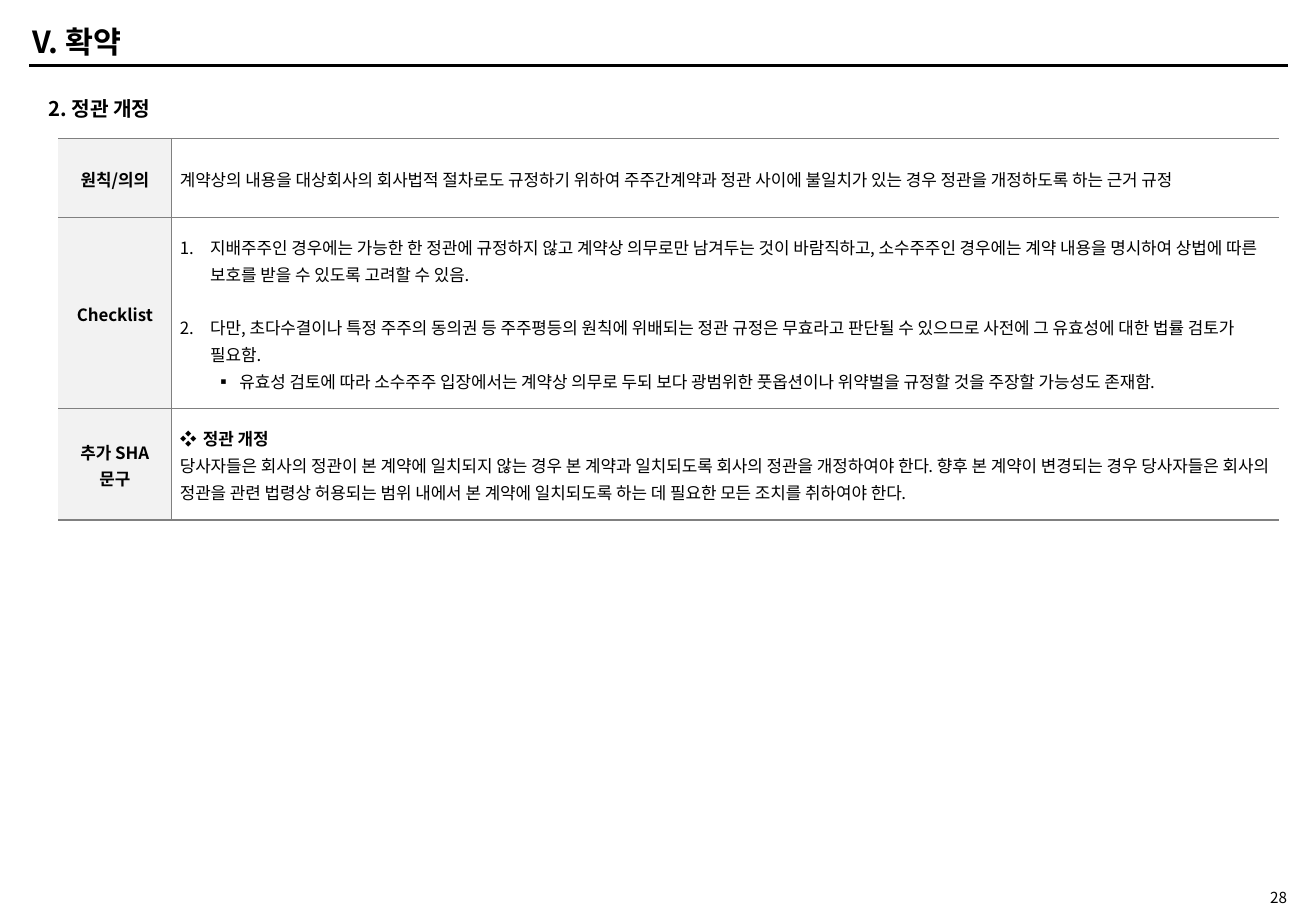
import pptx
import pptx.util
import pptx.dml.color
import pptx.enum.shapes
import pptx.enum.text
import pptx.oxml.ns
from lxml import etree

Inches, Pt = pptx.util.Inches, pptx.util.Pt
RGBColor = pptx.dml.color.RGBColor
ALIGN = pptx.enum.text.PP_ALIGN
MIDDLE = pptx.enum.text.MSO_ANCHOR.MIDDLE
qn = pptx.oxml.ns.qn

FONT = "Noto Sans CJK KR"
BLACK = RGBColor(0x00, 0x00, 0x00)
GRAY = RGBColor(0x80, 0x80, 0x80)
LABEL_FILL = RGBColor(0xF2, 0xF2, 0xF2)


def format_runs(p, size, bold=False):
    """Style every run and line break, including the East Asian typeface."""
    for r in p.runs:
        r.font.size, r.font.bold, r.font.name = Pt(size), bold, FONT
        r.font.color.rgb = BLACK
        etree.SubElement(r.font._element, qn("a:ea"), typeface=FONT)
    for br in p._p.findall(qn("a:br")):
        etree.SubElement(br, qn("a:rPr"), sz=str(size * 100))


def set_border(cell, side, width):
    """Draw one cell edge; a width of 0 hides it."""
    ln = etree.SubElement(cell._tc.get_or_add_tcPr(), qn("a:ln" + side), w=str(Pt(width)))
    if width:
        fill = etree.SubElement(ln, qn("a:solidFill"))
        etree.SubElement(fill, qn("a:srgbClr"), val=str(GRAY))
    else:
        etree.SubElement(ln, qn("a:noFill"))


prs = pptx.Presentation()
prs.slide_width, prs.slide_height = Inches(10.83), Inches(7.5)
s = prs.slides.add_slide(prs.slide_layouts[6])

# Title rule
rule = s.shapes.add_connector(pptx.enum.shapes.MSO_CONNECTOR.STRAIGHT,
                              Inches(0.24), Inches(0.54), Inches(10.6), Inches(0.54))
rule.line.color.rgb = BLACK
rule.line.width = Pt(2)
etree.SubElement(rule._element.spPr, qn("a:effectLst"))

# Title, section heading, page number
TEXTS = [
    ("V. 확약", 0.17, 0.15, 5.11, 0.38, 18, True, ALIGN.LEFT, 0.05),
    ("2. 정관 개정", 0.3, 0.74, 6.07, 0.3, 12, True, ALIGN.LEFT, 0.05),
    ("28", 9.75, 7.31, 0.94, 0.15, 9, False, ALIGN.RIGHT, 0),
]
for text, left, top, width, height, size, bold, align, inset in TEXTS:
    sp = s.shapes.add_textbox(Inches(left), Inches(top), Inches(width), Inches(height))
    tf = sp.text_frame
    tf.text = text
    tf.word_wrap = True
    tf.vertical_anchor = MIDDLE
    tf.margin_top = tf.margin_bottom = Inches(inset)
    tf.paragraphs[0].alignment = align
    format_runs(tf.paragraphs[0], size, bold)

# Each row: label, height, paragraphs of (text, bullet, left indent, hanging, space before, bold)
NUMBER = "1."
ROWS = [
    ("원칙/의의", 0.65, [
        ("계약상의 내용을 대상회사의 회사법적 절차로도 규정하기 위하여 주주간계약과 정관 사이에 "
         "불일치가 있는 경우 정관을 개정하도록 하는 근거 규정", None, 0, 0, 0, False)]),
    ("Checklist", 1.57, [
        ("지배주주인 경우에는 가능한 한 정관에 규정하지 않고 계약상 의무로만 남겨두는 것이 바람직하고, "
         "소수주주인 경우에는 계약 내용을 명시하여 상법에 따른 보호를 받을 수 있도록 고려할 수 있음.",
         NUMBER, 0.25, 0.25, 0, False),
        ("다만, 초다수결이나 특정 주주의 동의권 등 주주평등의 원칙에 위배되는 정관 규정은 무효라고 "
         "판단될 수 있으므로 사전에 그 유효성에 대한 법률 검토가 필요함.",
         NUMBER, 0.25, 0.25, 16, False),
        ("유효성 검토에 따라 소수주주 입장에서는 계약상 의무로 두되 보다 광범위한 풋옵션이나 "
         "위약벌을 규정할 것을 주장할 가능성도 존재함.", "▪", 0.49, 0.2, 0, False)]),
    ("추가 SHA\v문구", 0.92, [
        ("정관 개정", "❖", 0.19, 0.19, 0, True),
        ("당사자들은 회사의 정관이 본 계약에 일치되지 않는 경우 본 계약과 일치되도록 회사의 정관을 "
         "개정하여야 한다. 향후 본 계약이 변경되는 경우 당사자들은 회사의 정관을 관련 법령상 "
         "허용되는 범위 내에서 본 계약에 일치되도록 하는 데 필요한 모든 조치를 취하여야 한다.",
         None, 0, 0, 0, False)]),
]

table = s.shapes.add_table(len(ROWS), 2, Inches(0.48), Inches(1.14),
                           Inches(10.05), Inches(3.14)).table
table.first_row = table.horz_banding = False
for column, width in zip(table.columns, (0.93, 9.12)):
    column.width = Inches(width)

for i, (label, height, paragraphs) in enumerate(ROWS):
    table.rows[i].height = Inches(height)
    label_cell, body_cell = table.cell(i, 0), table.cell(i, 1)
    top = 1 if i == 0 else 0.5
    bottom = 1 if i == len(ROWS) - 1 else 0.5
    for cell, left, right in ((label_cell, 0, 0.5), (body_cell, 0.5, 0)):
        cell.vertical_anchor = MIDDLE
        cell.margin_left = cell.margin_right = Inches(0.07)
        cell.margin_top = cell.margin_bottom = 0
        for side, width in zip("LRTB", (left, right, top, bottom)):
            set_border(cell, side, width)
    label_cell.fill.solid()
    label_cell.fill.fore_color.rgb = LABEL_FILL
    body_cell.fill.background()

    p = label_cell.text_frame.paragraphs[0]
    p.text = label
    p.alignment = ALIGN.CENTER
    p.line_spacing = 1.1
    format_runs(p, 10, True)

    tf = body_cell.text_frame
    for j, (text, bullet, indent, hanging, before, bold) in enumerate(paragraphs):
        p = tf.add_paragraph() if j else tf.paragraphs[0]
        p.text = text
        pPr = p._p.get_or_add_pPr()
        if bullet:
            pPr.set("marL", str(Inches(indent)))
            pPr.set("indent", str(-Inches(hanging)))
            etree.SubElement(pPr, qn("a:buFont"), typeface=FONT)
            if bullet == NUMBER:
                etree.SubElement(pPr, qn("a:buAutoNum"), type="arabicPeriod")
            else:
                p.level = 1 if bullet == "▪" else 0
                etree.SubElement(pPr, qn("a:buChar"), char=bullet)
        p.line_spacing = 1.1
        if before:
            p.space_before = Pt(before)
        format_runs(p, 10, bold)

prs.save("out.pptx")
